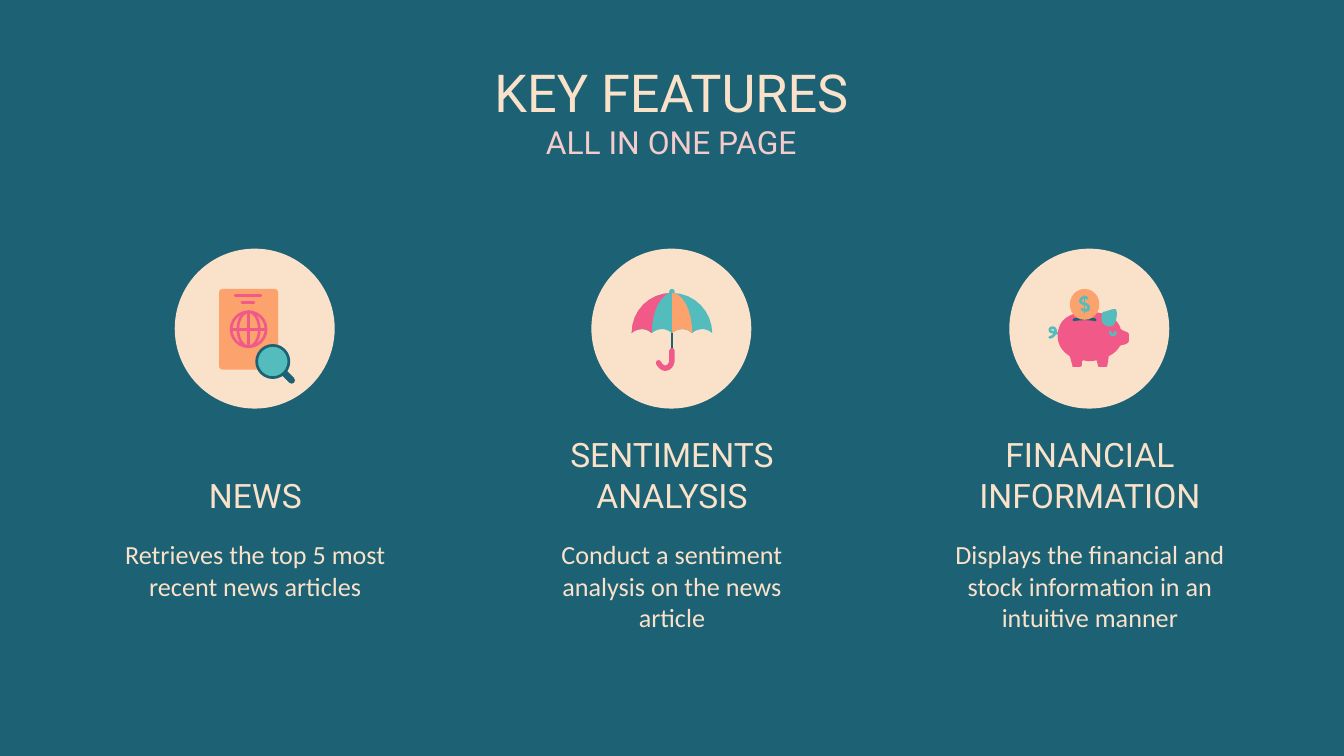
from typing import NamedTuple

from lxml.etree import SubElement
from pptx import Presentation
from pptx.dml.color import RGBColor
from pptx.enum.shapes import MSO_CONNECTOR, MSO_SHAPE
from pptx.enum.text import MSO_ANCHOR, PP_ALIGN
from pptx.oxml.ns import qn
from pptx.util import Emu, Pt

PX = 9144
TEAL, CREAM, BLUSH = "1C6274", "FAE2CA", "F4CCCC"
AQUA, PINK, ORANGE = "55BCBD", "F05988", "FBA26D"


class Preset(NamedTuple):
    kind: MSO_SHAPE
    box: tuple[int, int, int, int]
    fill: str | None
    line: str | None = None
    width: int = 2
    radius: float | None = None


class Path(NamedTuple):
    start: tuple[int, int]
    segments: list[tuple[int, ...]]
    fill: str | None
    line: str | None = None
    width: int = 2


class Stroke(NamedTuple):
    ends: tuple[int, int, int, int]
    color: str
    width: int = 2


class Feature(NamedTuple):
    left: int
    title: str
    body: str
    icon: list


def px(n: float) -> Emu:
    return Emu(round(n * PX))


def rgb(color: str) -> RGBColor:
    return RGBColor.from_string(color)


def flatten(start: tuple[int, int], segments: list[tuple[int, ...]]) -> list:
    points = [start]
    for seg in segments:
        if len(seg) == 2:
            points.append(seg)
            continue
        x0, y0 = points[-1]
        x1, y1, x2, y2, x3, y3 = seg
        for i in range(1, 9):
            t = i / 8
            a, b, c, d = (1 - t) ** 3, 3 * t * (1 - t) ** 2, 3 * t * t * (1 - t), t ** 3
            points.append((a * x0 + b * x1 + c * x2 + d * x3, a * y0 + b * y1 + c * y2 + d * y3))
    return [(px(x), px(y)) for x, y in points]


def style_line(sp, color: str, width: int) -> None:
    sp.line.color.rgb = rgb(color)
    sp.line.width = px(width)
    ln = sp.line._get_or_add_ln()
    ln.set("cap", "rnd")
    SubElement(ln, qn("a:round"))


def style_shape(sp, fill: str | None, line: str | None, width: int) -> None:
    sp.shadow.inherit = False
    if fill:
        sp.fill.solid()
        sp.fill.fore_color.rgb = rgb(fill)
    else:
        sp.fill.background()
    if line:
        style_line(sp, line, width)
    else:
        sp.line.fill.background()


def draw(s, part: Preset | Path | Stroke) -> None:
    if isinstance(part, Stroke):
        sp = s.shapes.add_connector(MSO_CONNECTOR.STRAIGHT, *map(px, part.ends))
        style_line(sp, part.color, part.width)
        SubElement(sp._element.spPr, qn("a:effectLst"))
        return
    if isinstance(part, Preset):
        sp = s.shapes.add_shape(part.kind, *map(px, part.box))
        if part.radius is not None:
            sp.adjustments[0] = part.radius
    else:
        points = flatten(part.start, part.segments)
        builder = s.shapes.build_freeform(*points[0], scale=1.0)
        builder.add_line_segments(points[1:], close=part.fill is not None)
        sp = builder.convert_to_shape()
    style_shape(sp, part.fill, part.line, part.width)


def add_text(s, box: tuple[int, int, int, int], lines: list[tuple[str, str, dict]], anchor=MSO_ANCHOR.TOP) -> None:
    tf = s.shapes.add_textbox(*map(px, box)).text_frame
    frame = {"word_wrap": True, "vertical_anchor": anchor}
    frame |= {f"margin_{side}": px(10) for side in ("left", "top", "right", "bottom")}
    for name, value in frame.items():
        setattr(tf, name, value)
    for i, (text, color, font) in enumerate(lines):
        p = tf.add_paragraph() if i else tf.paragraphs[0]
        p.alignment = PP_ALIGN.CENTER
        r = p.add_run()
        r.text = text
        r.font.color.rgb = rgb(color)
        for name, value in font.items():
            setattr(r.font, name, value)


HEADING = {"name": "Roboto", "size": Pt(28)}
SUBHEADING = {"name": "Roboto", "size": Pt(17)}
LABEL = {"name": "Roboto", "size": Pt(18)}
BODY = {"name": "Calibri", "size": Pt(14)}

OVAL, ROUNDED = MSO_SHAPE.OVAL, MSO_SHAPE.ROUNDED_RECTANGLE


def scallops(first: int, count: int) -> list[tuple[int, ...]]:
    return [(x + 2, 246, x + 5, 245, x + 8, 245) if half == 0 else (x + 10, 245, x + 13, 246, x + 15, 248)
            for x in range(first, first + 15 * count, 15) for half in (0, 1)]


NEWS = [
    Preset(ROUNDED, (163, 215, 44, 60), ORANGE, radius=0.06),
    Stroke((175, 220, 194, 220), PINK),
    Stroke((180, 225, 189, 225), PINK),
    Preset(OVAL, (172, 232, 26, 26), None, PINK),
    Preset(OVAL, (177, 232, 16, 26), None, PINK),
    Stroke((172, 245, 198, 245), PINK),
    Stroke((185, 232, 185, 258), PINK),
    Stroke((211, 277, 217, 283), TEAL, 5),
    Preset(OVAL, (191, 257, 24, 24), AQUA, TEAL),
]

UMBRELLA = [
    Stroke((500, 244, 500, 262), TEAL),
    Preset(ROUNDED, (498, 215, 4, 7), AQUA, radius=0.5),
    Path((470, 248), scallops(470, 4) + [(530, 232, 517, 218, 500, 218), (483, 218, 470, 232, 470, 248)], AQUA),
    Path((470, 248), scallops(470, 1) + [(485, 231, 492, 218, 500, 218), (483, 218, 470, 231, 470, 248)], PINK),
    Path((500, 248), scallops(500, 1) + [(515, 231, 508, 218, 500, 218), (500, 248)], ORANGE),
    Path((500, 261), [(500, 268), (500, 271, 498, 274, 495, 274), (493, 274, 491, 272, 490, 270)], None, PINK, 4),
]

PIGGY_BANK = [
    Path((781, 251), [(785, 251, 787, 245, 784, 244), (781, 243, 780, 247, 783, 247), (785, 248, 787, 248, 788, 248)],
         None, AQUA),
    Path((810, 232), [
        (797, 232, 787, 237, 787, 250), (787, 257, 791, 262, 796, 265), (798, 272), (798, 273, 798, 273, 799, 273),
        (803, 273), (804, 273, 804, 273, 805, 272), (805, 269), (806, 268), (809, 269, 813, 269, 816, 268),
        (817, 272), (817, 273, 818, 273, 818, 273), (822, 273), (823, 273, 824, 273, 824, 272), (825, 265),
        (829, 263, 831, 261, 833, 258), (834, 257), (838, 256), (839, 255, 840, 255, 840, 253), (840, 249),
        (840, 248, 839, 247, 838, 247), (836, 246), (835, 246, 835, 245, 834, 245), (832, 236, 821, 232, 810, 232),
    ], PINK),
    Path((826, 247), [(827, 250, 830, 250, 830, 247)], None, AQUA),
    Path((799, 238), [(804, 237, 810, 237, 815, 238)], None, TEAL),
    Preset(OVAL, (796, 215, 22, 23), ORANGE),
    Path((809, 222), [(808, 221, 804, 221, 804, 224), (804, 227, 810, 225, 810, 229), (810, 232, 806, 231, 805, 230)],
         None, AQUA),
    Stroke((807, 220, 807, 233), AQUA, 1),
    Path((829, 230), [
        (827, 230, 823, 232, 821, 232), (820, 233, 820, 233, 820, 234), (818, 241, 823, 243, 826, 243),
        (827, 243, 828, 243, 828, 242), (831, 241, 832, 231, 830, 230),
    ], AQUA),
]

FEATURES = [
    Feature(76, "NEWS", "Retrieves the top 5 most recent news articles", NEWS),
    Feature(386, "SENTIMENTS ANALYSIS", "Conduct a sentiment analysis on the news article", UMBRELLA),
    Feature(697, "FINANCIAL INFORMATION", "Displays the financial and stock information in an intuitive manner", PIGGY_BANK),
]


def main() -> None:
    prs = Presentation()
    prs.slide_width = px(1000)
    prs.slide_height = prs.slide_width * 9 // 16
    s = prs.slides.add_slide(prs.slide_layouts[6])
    s.background.fill.solid()
    s.background.fill.fore_color.rgb = rgb(TEAL)
    add_text(s, (213, 35, 573, 63), [("KEY FEATURES", CREAM, HEADING), ("ALL IN ONE PAGE", BLUSH, SUBHEADING)])
    for feature in FEATURES:
        add_text(s, (feature.left, 345, 228, 48), [(feature.title, CREAM, LABEL)], MSO_ANCHOR.BOTTOM)
        add_text(s, (feature.left, 391, 228, 80), [(feature.body, CREAM, BODY)])
        draw(s, Preset(OVAL, (feature.left + 54, 185, 119, 119), CREAM))
        for part in feature.icon:
            draw(s, part)
    prs.save("out.pptx")


if __name__ == "__main__":
    main()
